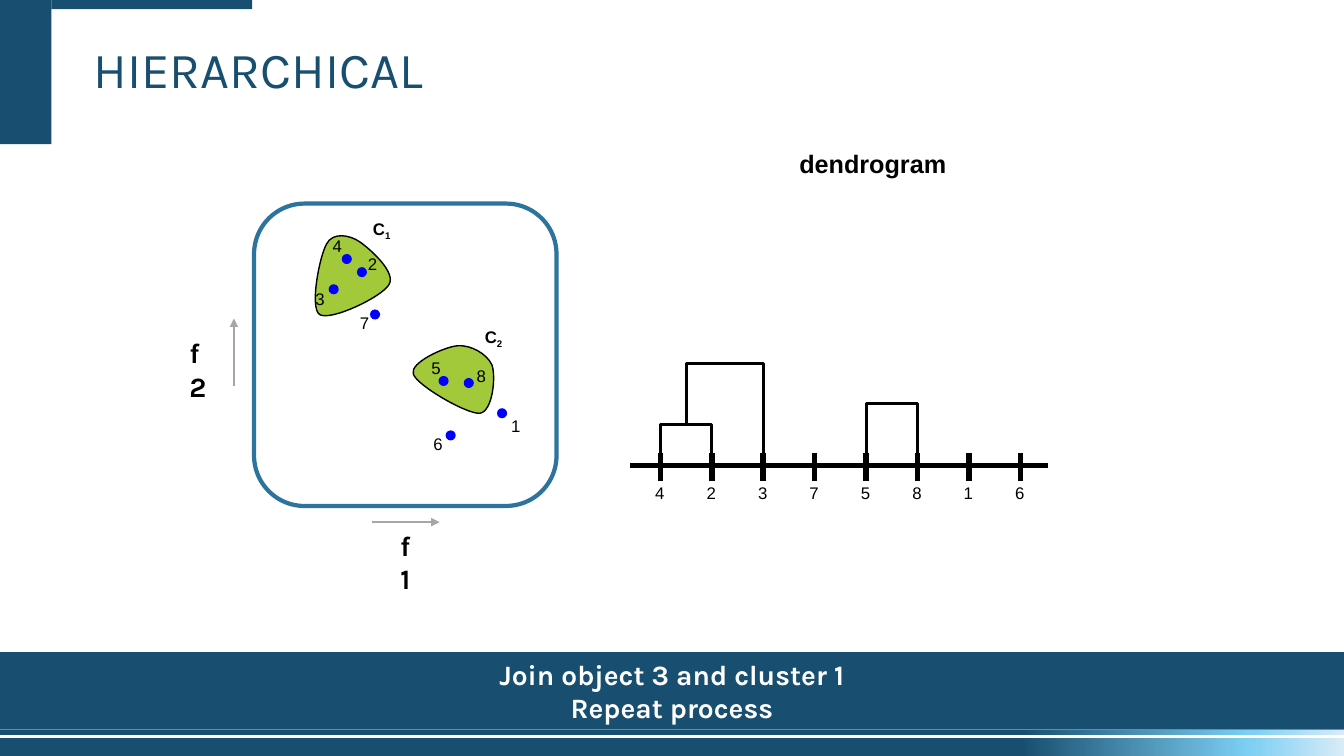
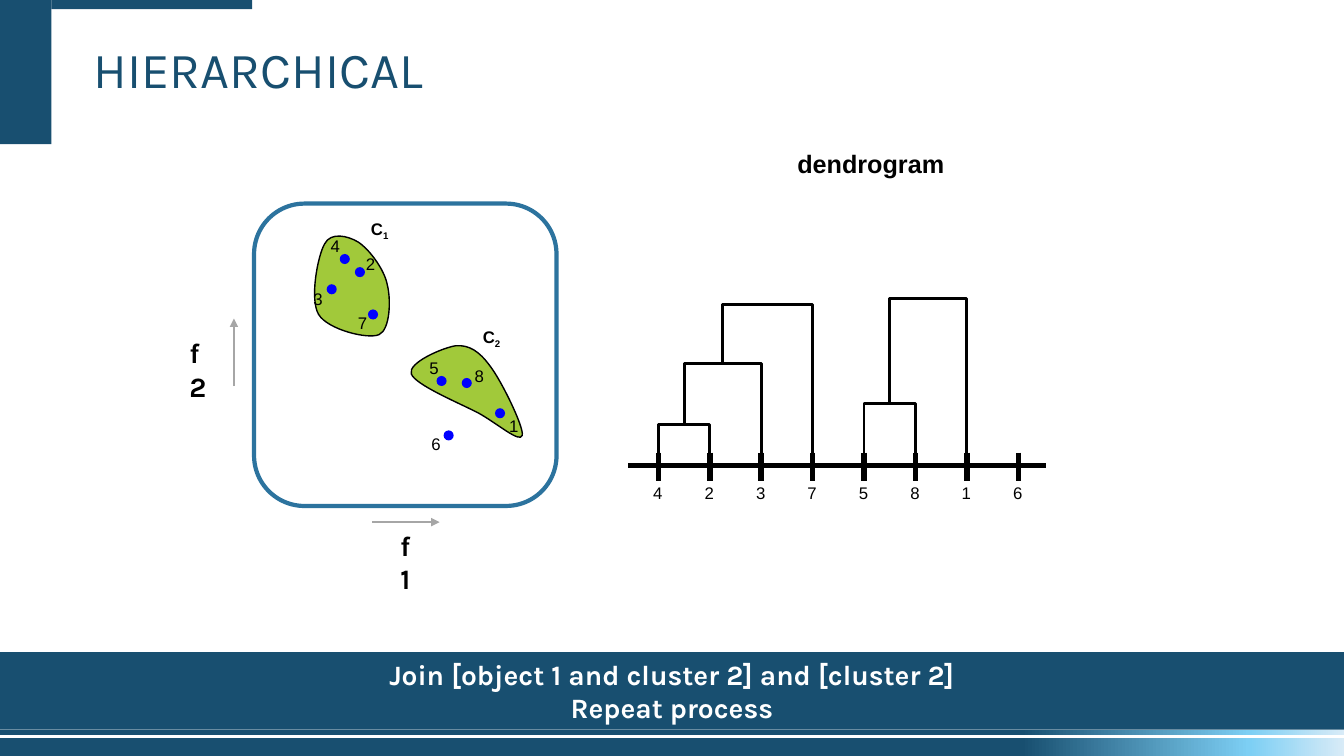
from copy import deepcopy
from dataclasses import dataclass

from pptx import Presentation
from pptx.dml.color import RGBColor
from pptx.enum.shapes import MSO_CONNECTOR, MSO_SHAPE
from pptx.enum.text import MSO_ANCHOR, MSO_AUTO_SIZE, PP_ALIGN
from pptx.oxml.ns import qn
from pptx.oxml.xmlchemy import OxmlElement
from pptx.util import Inches, Pt

RECTANGLE, ROUNDED, OVAL = MSO_SHAPE.RECTANGLE, MSO_SHAPE.ROUNDED_RECTANGLE, MSO_SHAPE.OVAL
STRAIGHT = MSO_CONNECTOR.STRAIGHT
LEFT, CENTER = PP_ALIGN.LEFT, PP_ALIGN.CENTER
MIDDLE = MSO_ANCHOR.MIDDLE
FIXED, GROW = MSO_AUTO_SIZE.NONE, MSO_AUTO_SIZE.SHAPE_TO_FIT_TEXT


@dataclass(frozen=True)
class Theme:
    navy: str = "184F70"
    sky: str = "7DCFF4"
    pale: str = "D8EBF7"
    frame: str = "2C739E"
    cluster: str = "A1C93A"
    dot: str = "0000FF"
    arrow: str = "A6A6A6"
    black: str = "000000"
    white: str = "FFFFFF"
    sans: str = "Arial"
    brand: str = "Karla"
    small: int = 12
    heading: int = 18
    body: int = 20
    title: int = 36


T = Theme()
TITLE = {"name": T.brand, "size": Pt(T.title), "bold": False}
STRONG = {"name": T.brand, "size": Pt(T.body), "bold": True}
HEADING = {"name": T.sans, "size": Pt(T.heading), "bold": True}
CLUSTER_NAME = {"name": T.sans, "size": Pt(T.small), "bold": True}
NUMBER = {"name": T.sans, "size": Pt(T.small), "bold": False}

BANDS = [  # left, top, width, height, is gradient
    (0, 7.32, 13.33, 0.18, True),
    (0, 7.24, 13.33, 0.05, True),
    (0, 0, 0.51, 1.43, False),
    (0.51, 0, 1.99, 0.09, False),
]
GRADIENT = [(0.76, T.navy), (0.93, T.sky), (1, T.pale)]

# object: left and top of its dot, left and top of its number
OBJECTS = {
    "4": ((3.39, 2.52), (3.2, 2.29)),
    "2": ((3.54, 2.65), (3.55, 2.47)),
    "3": ((3.26, 2.82), (3.03, 2.82)),
    "7": ((3.67, 3.07), (3.47, 3.05)),
    "5": ((4.35, 3.73), (4.18, 3.5)),
    "8": ((4.6, 3.75), (4.63, 3.58)),
    "1": ((4.93, 4.05), (4.97, 4.08)),
    "6": ((4.42, 4.27), (4.2, 4.25)),
}
FIRST_TICK, TICK_GAP, AXIS_Y = 6.55, 0.51, 4.62

# shift: horizontal move of dots, labels and dendrogram
# clusters: start point, then three points for each Bezier curve
# joins: left member, right member, height of the bracket's top
FIRST_JOINS = [("4", "2", 4.21), ("5", "8", 4), ("42", "3", 3.61)]
STEPS = [
    {
        "message": ["Join object 3 and cluster 1", "Repeat process"],
        "shift": 0,
        "clusters": [
            [(4.54, 3.43), (4.41, 3.44), (4.06, 3.6), (4.1, 3.71),
             (4.13, 3.82), (4.63, 4.11), (4.76, 4.1),
             (4.89, 4.08), (4.92, 3.73), (4.88, 3.62),
             (4.83, 3.51), (4.67, 3.42), (4.54, 3.43)],
            [(3.57, 2.4), (3.47, 2.33), (3.3, 2.3), (3.24, 2.42),
             (3.17, 2.54), (3.07, 3.05), (3.17, 3.12),
             (3.28, 3.19), (3.8, 2.94), (3.86, 2.82),
             (3.93, 2.7), (3.67, 2.47), (3.57, 2.4)],
        ],
        "joins": FIRST_JOINS,
    },
    {
        "message": ["Join [object 1 and cluster 2] and [cluster 2]", "Repeat process"],
        "shift": -0.02,
        "clusters": [
            [(4.52, 3.43), (4.39, 3.45), (4.04, 3.6), (4.08, 3.71),
             (4.12, 3.82), (4.56, 4), (4.75, 4.1),
             (4.93, 4.2), (5.16, 4.4), (5.18, 4.32),
             (5.2, 4.24), (4.97, 3.77), (4.86, 3.63),
             (4.75, 3.48), (4.65, 3.42), (4.52, 3.43)],
            [(3.55, 2.4), (3.45, 2.34), (3.28, 2.3), (3.22, 2.42),
             (3.15, 2.54), (3.07, 2.97), (3.16, 3.12),
             (3.25, 3.27), (3.65, 3.37), (3.76, 3.32),
             (3.87, 3.27), (3.88, 2.97), (3.84, 2.82),
             (3.81, 2.67), (3.66, 2.47), (3.55, 2.4)],
        ],
        "joins": FIRST_JOINS + [("423", "7", 3.02), ("58", "1", 2.96)],
    },
]


def paint(shape, fill=None, line=None, width=1):
    """Give a shape a flat fill and outline; None means no paint."""
    shape.shadow.inherit = False
    if fill:
        shape.fill.solid()
        shape.fill.fore_color.rgb = RGBColor.from_string(fill)
    else:
        shape.fill.background()
    if line:
        shape.line.color.rgb = RGBColor.from_string(line)
        shape.line.width = Pt(width)
    else:
        shape.line.fill.background()


def write(frame, lines, style, color=T.black, align=LEFT):
    """Write one paragraph a line; what follows "_" is a subscript."""
    for index, line in enumerate(lines):
        paragraph = frame.add_paragraph() if index else frame.paragraphs[0]
        paragraph.alignment = align
        for part, text in enumerate(line.split("_")):
            run = paragraph.add_run()
            run.text = text
            for name, value in style.items():
                setattr(run.font, name, value)
            run.font.color.rgb = RGBColor.from_string(color)
            if part:
                run._r.get_or_add_rPr().set("baseline", "-25000")


prs = Presentation()
prs.slide_width, prs.slide_height = Inches(13.33), Inches(7.5)
layout = prs.slide_layouts[5]
slides = [prs.slides.add_slide(layout) for _ in STEPS]

# Bands are drawn once and moved to the layout that all slides share.
for number, (*box, is_gradient) in enumerate(BANDS):
    band = slides[0].shapes.add_shape(RECTANGLE, *map(Inches, box))
    paint(band, T.navy)
    if is_gradient:
        band.fill.gradient()
        band.fill.gradient_angle = 0
        stop_list = band.element.find(".//" + qn("a:gsLst"))
        stop_list.append(deepcopy(stop_list[0]))
        for stop, (position, color) in zip(band.fill.gradient_stops, GRADIENT):
            stop.position = position
            stop.color.rgb = RGBColor.from_string(color)
    band.element.nvSpPr.cNvPr.set("id", str(100 + number))
    layout.shapes.element.append(band.element)

for slide, step in zip(slides, STEPS):
    shapes, shift = slide.shapes, step["shift"]

    title = shapes.title
    title.left, title.top, title.width, title.height = map(Inches, (0.83, 0.39, 9.42, 0.65))
    title.text_frame.auto_size = FIXED
    title.text_frame.vertical_anchor = MIDDLE
    write(title.text_frame, ["HIERARCHICAL"], TITLE, T.navy)
    title.text_frame.paragraphs[0].line_spacing = 0.9

    # Brackets start at the axis, or at the middle of an earlier bracket.
    ticks = {name: FIRST_TICK + shift + TICK_GAP * i for i, name in enumerate(OBJECTS)}
    nodes = {name: (x, AXIS_Y) for name, x in ticks.items()}
    brackets = []
    for left, right, top in step["joins"]:
        (x1, y1), (x2, y2) = nodes[left], nodes[right]
        brackets.append([(x1, y1), (x1, top), (x2, top), (x2, y2)])
        nodes[left + right] = ((x1 + x2) / 2, top)

    for points in step["clusters"] + brackets:
        is_cluster = points in step["clusters"]
        start, *others = [(Inches(x), Inches(y)) for x, y in points]
        builder = shapes.build_freeform(*start)
        builder.add_line_segments(others, close=is_cluster)
        outline = builder.convert_to_shape()
        if not is_cluster:
            paint(outline, line=T.black, width=2)
            continue
        paint(outline, T.cluster, T.black)
        segments = list(outline.element.iter(qn("a:lnTo")))
        for i in range(0, len(segments), 3):
            curve = OxmlElement("a:cubicBezTo")
            segments[i].addprevious(curve)
            for segment in segments[i:i + 3]:
                curve.append(segment[0])
                segment.getparent().remove(segment)

    axis = (6.25 + shift, AXIS_Y, 10.39 + shift, AXIS_Y)
    lines = [(axis, T.black, 4, False)]
    lines += [((x, 4.49, x, 4.77), T.black, 4, False) for x in ticks.values()]
    lines += [((3.69, 5.18, 4.36, 5.18), T.arrow, 1.5, True),
              ((2.32, 3.83, 2.32, 3.16), T.arrow, 1.5, True)]
    for ends, color, width, has_arrow in lines:
        line = shapes.add_connector(STRAIGHT, *map(Inches, ends))
        line.line.color.rgb = RGBColor.from_string(color)
        line.line.width = Pt(width)
        if has_arrow:
            arrowhead = OxmlElement("a:tailEnd")
            arrowhead.set("type", "triangle")
            line.line._get_or_add_ln().append(arrowhead)
        line.element.spPr.append(OxmlElement("a:effectLst"))

    for (x, y), _ in OBJECTS.values():
        dot = shapes.add_shape(OVAL, Inches(x + shift), Inches(y), Inches(0.1), Inches(0.1))
        paint(dot, T.dot)

    labels = [("C_1", 3.6 + shift, 2.12, 0.38, 0.3, CLUSTER_NAME),
              ("C_2", 4.71 + shift, 3.19, 0.38, 0.3, CLUSTER_NAME),
              ("dendrogram", 7.83 + shift, 1.42, 1.66, 0.4, HEADING)]
    for name, (_, (x, y)) in OBJECTS.items():
        labels.append((name, x + shift, y, 0.29, 0.3, NUMBER))
        labels.append((name, ticks[name] - 0.15, 4.74, 0.29, 0.3, NUMBER))
    for text, *box, style in labels:
        label = shapes.add_textbox(*map(Inches, box)).text_frame
        label.word_wrap = False
        label.auto_size = GROW
        write(label, [text], style)

    plot_frame = shapes.add_shape(ROUNDED, Inches(2.52), Inches(2.02), Inches(3), Inches(3))
    paint(plot_frame, line=T.frame, width=3)

    for feature, x, y, align in (("f1", 3.83, 5.19, CENTER), ("f2", 1.78, 3.28, LEFT)):
        axis_name = shapes.add_textbox(Inches(x), Inches(y), Inches(0.38), Inches(0.77)).text_frame
        axis_name.word_wrap = True
        write(axis_name, [feature], STRONG, align=align)

    message = shapes.add_shape(RECTANGLE, 0, Inches(6.47), prs.slide_width, Inches(0.77))
    paint(message, T.navy)
    message.text_frame.vertical_anchor = MIDDLE
    write(message.text_frame, step["message"], STRONG, T.white, CENTER)

prs.save("out.pptx")
